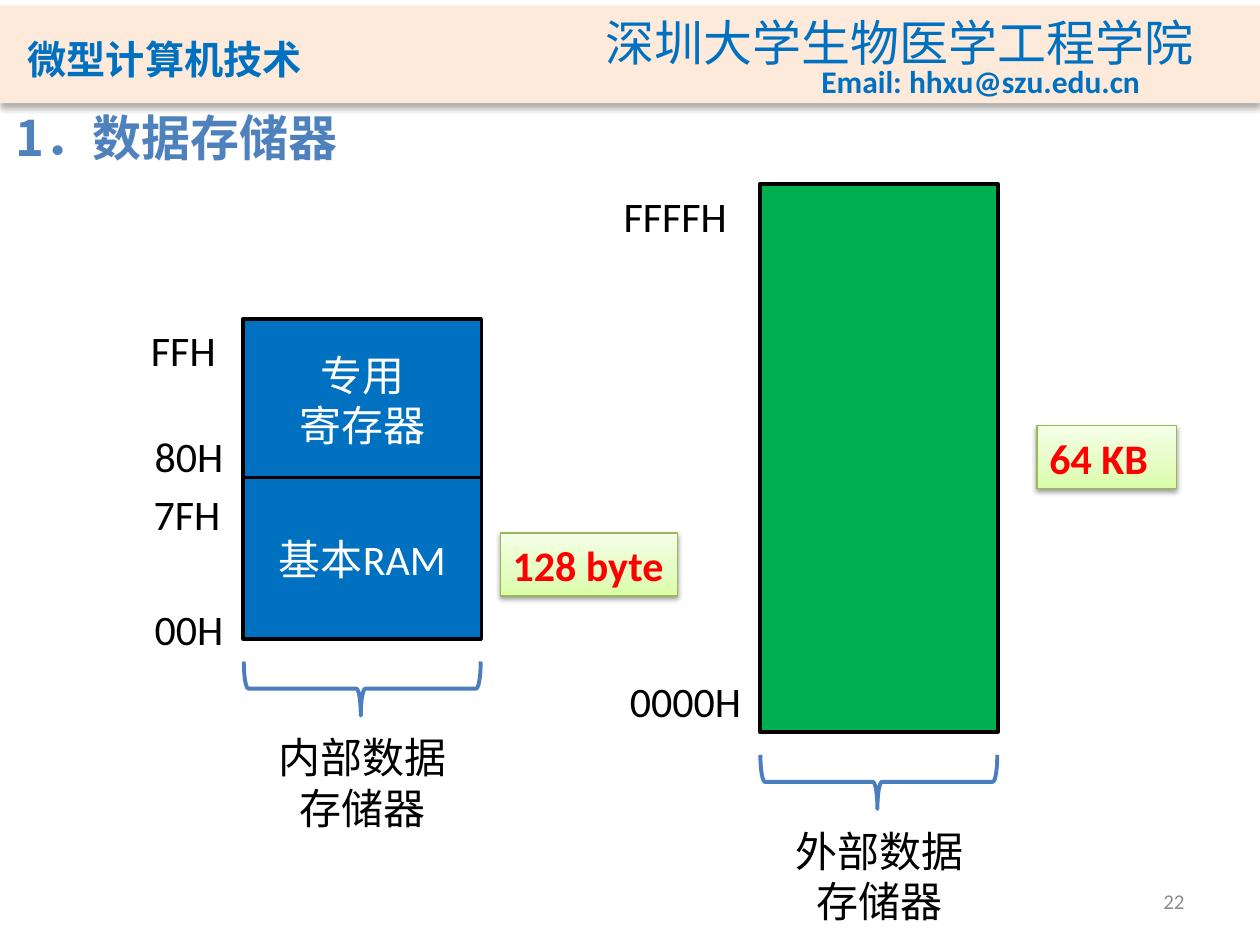
from copy import deepcopy
from dataclasses import dataclass

from lxml.etree import SubElement
from pptx import Presentation
from pptx.dml.color import RGBColor
from pptx.enum.shapes import MSO_SHAPE
from pptx.enum.text import MSO_ANCHOR, MSO_AUTO_SIZE, PP_ALIGN
from pptx.oxml.ns import qn
from pptx.util import Inches, Pt


@dataclass(frozen=True)
class Theme:
    """Colours, fonts and type sizes of the slide."""
    banner: str = "FDEADA"
    blue: str = "0070C0"
    green: str = "00B050"
    title: str = "4F81BD"
    brace: str = "4B7EBC"
    black: str = "000000"
    white: str = "FFFFFF"
    red: str = "FF0000"
    grey: str = "8C8C8C"
    badge_line: str = "98B955"
    badge_stops: tuple = ((0, "DAFDA7"), (0.35, "E4FCC2"), (1, "F5FFE7"))
    latin: str = "Calibri"
    chinese: str = "Noto Sans CJK SC"
    course: str = "Noto Sans CJK JP"
    heading_size: int = 28
    body_size: int = 24
    email_size: int = 18
    number_size: int = 12


THEME = Theme()


def color(value):
    """Turn a hex string into a colour."""
    return RGBColor.from_string(value)


def inches(box):
    """Turn left, top, width and height into lengths."""
    return [Inches(value) for value in box]


def write_text(shape, text, *, size=THEME.body_size, ink=THEME.black, latin=THEME.latin,
               east_asian=THEME.chinese, bold=False, small_caps=False,
               align=PP_ALIGN.LEFT, anchor=MSO_ANCHOR.TOP, wrap=False, spacing=None):
    """Write one paragraph for each line of text in one format."""
    frame = shape.text_frame
    frame.auto_size = MSO_AUTO_SIZE.NONE
    frame.word_wrap = wrap
    frame.vertical_anchor = anchor
    frame.text = text
    for paragraph in frame.paragraphs:
        paragraph.alignment = align
        if spacing:
            paragraph.line_spacing = spacing
        for run in paragraph.runs:
            run.font.size = Pt(size)
            run.font.bold = bold
            run.font.name = latin
            run.font.color.rgb = color(ink)
            properties = run.font._element
            SubElement(properties, qn("a:ea")).set("typeface", east_asian)
            if small_caps:
                properties.set("cap", "small")


def add_label(slide, box, text, **text_format):
    """Add a text box."""
    write_text(slide.shapes.add_textbox(*inches(box)), text, **text_format)


def add_box(slide, box, fill=None, line=None, line_width=2):
    """Add a rectangle without shadow."""
    shape = slide.shapes.add_shape(MSO_SHAPE.RECTANGLE, *inches(box))
    shape.shadow.inherit = False
    if fill:
        shape.fill.solid()
        shape.fill.fore_color.rgb = color(fill)
    if line:
        shape.line.color.rgb = color(line)
        shape.line.width = Pt(line_width)
    else:
        shape.line.fill.background()
    return shape


def add_shadow(shape, opacity, blur, distance):
    """Give a shape a soft shadow below it."""
    effects = shape._element.spPr.find(qn("a:effectLst"))
    shadow = SubElement(effects, qn("a:outerShdw"), blurRad=str(Pt(blur)),
                        dist=str(Pt(distance)), dir="5400000", rotWithShape="0")
    ink = SubElement(shadow, qn("a:srgbClr"), val=THEME.black)
    SubElement(ink, qn("a:alpha"), val=str(opacity * 1000))


def add_badge(slide, box, text):
    """Add a capacity badge with a green gradient."""
    shape = add_box(slide, box, line=THEME.badge_line, line_width=0.75)
    shape.fill.gradient()
    shape.fill.gradient_angle = 90
    stop_list = shape._element.spPr.find(qn("a:gradFill")).find(qn("a:gsLst"))
    stop_list.append(deepcopy(stop_list[0]))
    for stop, (position, value) in zip(shape.fill.gradient_stops, THEME.badge_stops):
        stop.position = position
        stop.color.rgb = color(value)
    add_shadow(shape, 38, 3.1, 1.6)
    write_text(shape, text, ink=THEME.red, bold=True)


def add_caption(slide, box, text):
    """Add a downward brace with a caption under a memory column."""
    left, top, width, height = box
    center = left + width / 2
    depth, span = 0.43, 1.88
    brace_top = top + height + 0.18
    brace = slide.shapes.add_shape(MSO_SHAPE.LEFT_BRACE, *inches(
        (center - depth / 2, brace_top + (depth - span) / 2, depth, span)))
    brace.rotation = 270
    brace.adjustments[0], brace.adjustments[1] = 0.083, 0.494
    brace.shadow.inherit = False
    brace.fill.background()
    brace.line.color.rgb = color(THEME.brace)
    brace.line.width = Pt(2.25)
    add_label(slide, (center - 0.77, brace_top + 0.51, 1.55, 0.91), text,
              align=PP_ALIGN.CENTER)


def add_addresses(slide, box, addresses):
    """Add address labels that end at the left edge of a memory column."""
    left, top, _, _ = box
    for text, offset, width in addresses:
        add_label(slide, (left - width, top + offset, width, 0.5), text)


def add_banner(slide, box):
    """Add the course banner."""
    left, top, width, height = box
    add_shadow(add_box(slide, box, fill=THEME.banner), 32, 3.5, 2.2)
    add_label(slide, (left + 0.12, top + 0.11, 3.39, 0.56), "微型计算机技术",
              size=THEME.heading_size, ink=THEME.blue, latin=THEME.course,
              east_asian=THEME.course, bold=True, small_caps=True,
              anchor=MSO_ANCHOR.BOTTOM, wrap=True)
    add_label(slide, (left + 4.71, top, 4.91, 0.57), "深圳大学生物医学工程学院",
              size=THEME.heading_size, ink=THEME.blue, latin=THEME.chinese)
    add_label(slide, (left + 6.42, top + 0.39, 2.75, 0.4), "Email: hhxu@szu.edu.cn",
              size=THEME.email_size, ink=THEME.blue, bold=True)


def add_title(slide, box):
    """Place and format the title."""
    title = slide.shapes.title
    title.left, title.top, title.width, title.height = inches(box)
    write_text(title, "1．数据存储器", size=THEME.heading_size, ink=THEME.title,
               latin=THEME.chinese, bold=True, wrap=True, spacing=0.95)


def add_internal_memory(slide, box):
    """Add the internal data memory with its two blocks."""
    left, top, width, height = box
    block = 1.28
    for text, offset in (("专用\n寄存器", 0), ("基本RAM", height - block)):
        shape = add_box(slide, (left, top + offset, width, block), THEME.blue, THEME.black)
        write_text(shape, text, ink=THEME.white, align=PP_ALIGN.CENTER,
                   anchor=MSO_ANCHOR.MIDDLE, wrap=True)
    add_addresses(slide, box, (("FFH", 0, 0.83), ("80H", 0.84, 0.8),
                               ("7FH", 1.3, 0.81), ("00H", 2.21, 0.8)))
    add_caption(slide, box, "内部数据\n存储器")
    add_badge(slide, (left + 2.04, top + 1.7, 1.41, 0.5), "128 byte")


def add_external_memory(slide, box):
    """Add the external data memory."""
    left, top, _, height = box
    add_box(slide, box, THEME.green, THEME.black)
    add_addresses(slide, box, (("FFFFH", 0, 1.18), ("0000H", height - 0.5, 1.13)))
    add_caption(slide, box, "外部数据\n存储器")
    add_badge(slide, (left + 2.2, top + 1.92, 1.11, 0.5), "64 KB")


def main():
    """Build the slide and save it."""
    presentation = Presentation()
    presentation.slide_width, presentation.slide_height = Inches(10), Inches(7.5)
    slide = presentation.slides.add_slide(presentation.slide_layouts[5])
    add_banner(slide, (0, 0.05, 10, 0.77))
    add_title(slide, (0.02, 0.84, 6.84, 0.62))
    add_internal_memory(slide, (1.93, 2.53, 1.89, 2.54))
    add_external_memory(slide, (6.03, 1.46, 1.89, 4.35))
    add_label(slide, (7.17, 6.95, 2.33, 0.4), "22", size=THEME.number_size,
              ink=THEME.grey, align=PP_ALIGN.RIGHT, anchor=MSO_ANCHOR.MIDDLE, wrap=True)
    presentation.save("out.pptx")


if __name__ == "__main__":
    main()
